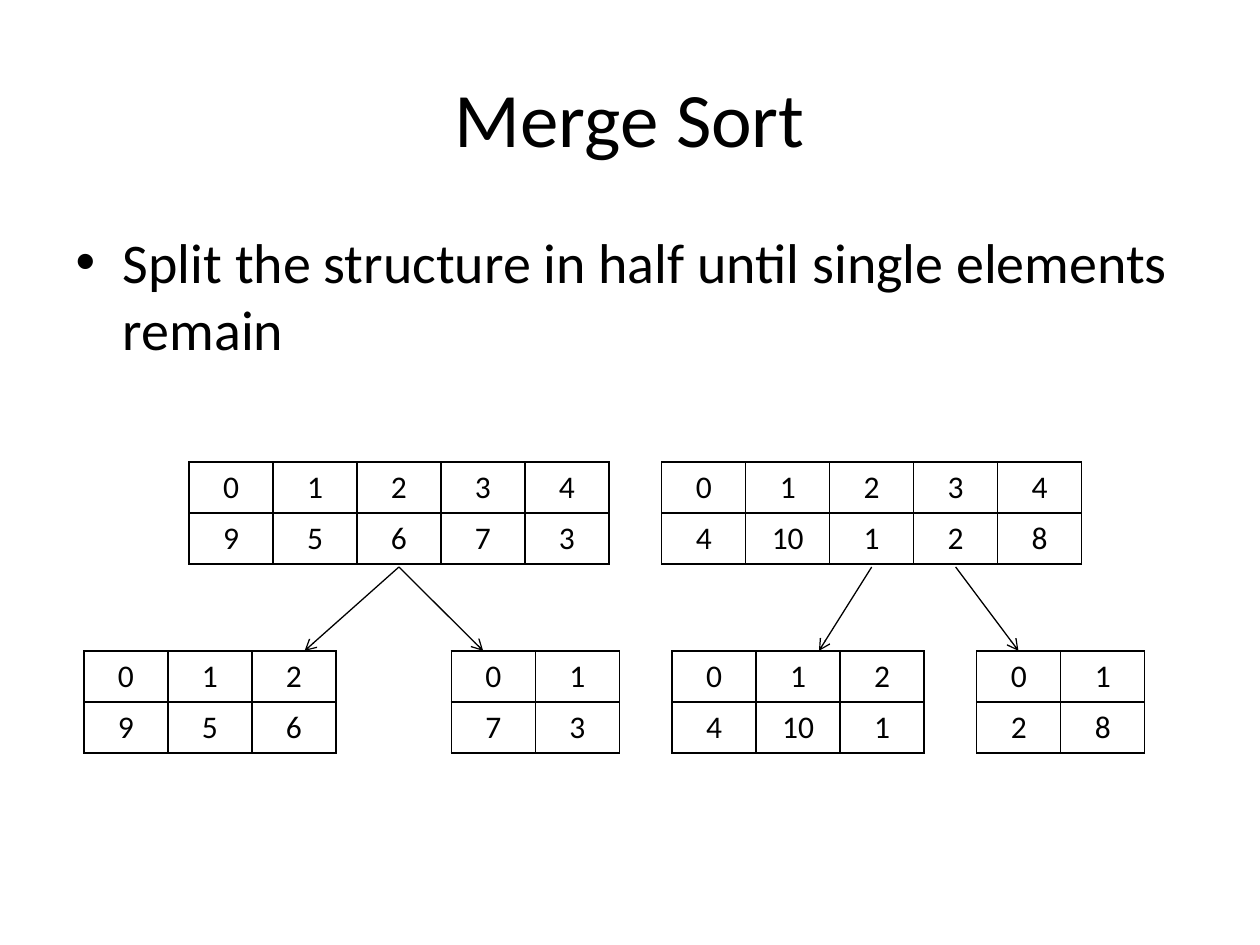
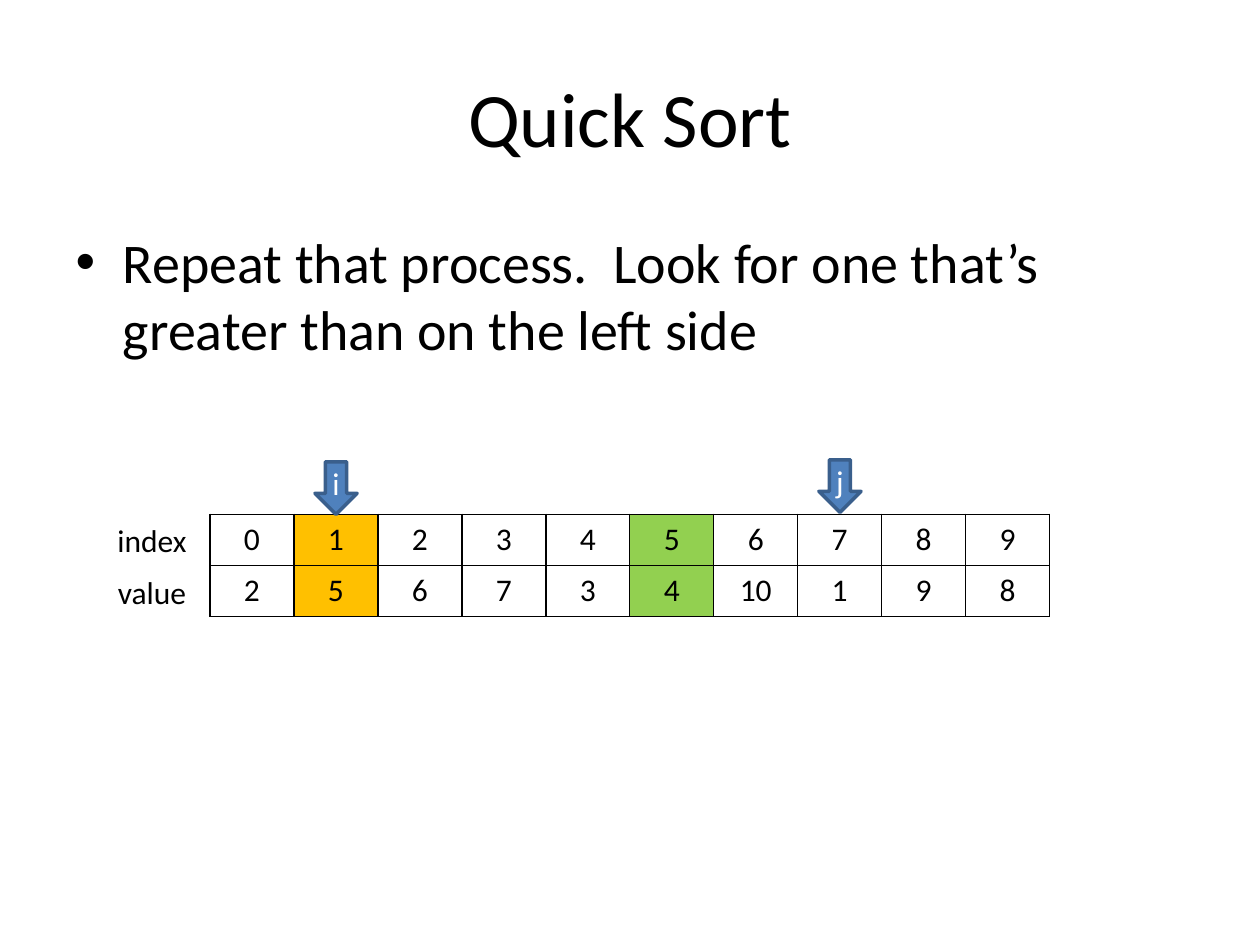
"""Build two slides on sorting: a merge sort split and a quick sort scan."""
from lxml import etree
from pptx import Presentation
from pptx.dml.color import RGBColor
from pptx.enum.shapes import MSO_CONNECTOR, MSO_SHAPE
from pptx.enum.text import MSO_ANCHOR, PP_ALIGN
from pptx.oxml.ns import qn
from pptx.util import Cm, Pt

BLACK = RGBColor(0x00, 0x00, 0x00)
WHITE = RGBColor(0xFF, 0xFF, 0xFF)
GOLD = RGBColor(0xFF, 0xC0, 0x00)
GREEN = RGBColor(0x92, 0xD0, 0x50)
BLUE = RGBColor(0x4F, 0x81, 0xBD)
NAVY = RGBColor(0x3A, 0x5F, 0x8C)

CENTER = PP_ALIGN.CENTER
LEFT = PP_ALIGN.LEFT
MIDDLE = MSO_ANCHOR.MIDDLE
DOWN = MSO_SHAPE.DOWN_ARROW
STRAIGHT = MSO_CONNECTOR.STRAIGHT

FONT = "Calibri"
COL = 1.693
ROW = 1.03
DROP = 3.81


def style(frame, text, size=18, color=BLACK, align=CENTER):
    """Write one paragraph of text into a frame and format it."""
    frame.text = text
    para = frame.paragraphs[0]
    para.alignment = align
    para.space_before = Pt(0)
    para.font.name = FONT
    para.font.size = Pt(size)
    para.font.color.rgb = color


def place(shape, left, top, width, height):
    """Move and size a shape in centimetres."""
    shape.left, shape.top = Cm(left), Cm(top)
    shape.width, shape.height = Cm(width), Cm(height)


def add_page(deck, title, point):
    """Add a slide with a centred title and one bullet."""
    slide = deck.slides.add_slide(deck.slide_layouts[1])
    head, body = slide.placeholders
    place(head, 1.27, 0.76, 22.86, 3.18)
    place(body, 1.27, 4.45, 22.86, 12.57)
    head.text_frame.vertical_anchor = MIDDLE
    style(head.text_frame, title, 44)
    style(body.text_frame, point, 32, align=LEFT)
    return slide


def add_edges(cell):
    """Draw a thin black line on each side of a cell."""
    props = cell._tc.get_or_add_tcPr()
    for side in ("lnL", "lnR", "lnT", "lnB"):
        line = etree.SubElement(props, qn(f"a:{side}"), w=str(Pt(1)))
        fill = etree.SubElement(line, qn("a:solidFill"))
        etree.SubElement(fill, qn("a:srgbClr"), val=str(BLACK))


def add_array(slide, left, top, values, marks=None):
    """Add a table of indexes over values, with marked columns filled."""
    marks = marks or {}
    count = len(values)
    table = slide.shapes.add_table(
        2, count, Cm(left), Cm(top), Cm(COL * count), Cm(2 * ROW)).table
    table.first_row = table.horz_banding = False
    for row, items in zip(table.rows, (range(count), values)):
        row.height = Cm(ROW)
        for col, (cell, item) in enumerate(zip(row.cells, items)):
            style(cell.text_frame, str(item))
            add_edges(cell)
            cell.fill.solid()
            cell.fill.fore_color.rgb = marks.get(col, WHITE)
    for col in table.columns:
        col.width = Cm(COL)


def add_arrow(slide, start, end):
    """Add a thin line with an open head at its end."""
    link = slide.shapes.add_connector(STRAIGHT, *map(Cm, start + end))
    link.line.color.rgb = BLACK
    link.line.width = Pt(0.75)
    etree.SubElement(link.line._get_or_add_ln(), qn("a:tailEnd"), type="arrow")
    etree.SubElement(link._element.spPr, qn("a:effectLst"))


def add_split(slide, left, top, values, halves):
    """Add an array with its two halves below, each at (shift, part, col, tip)."""
    add_array(slide, left, top, values)
    for shift, part, col, tip in halves:
        add_array(slide, left + shift, top + DROP, part)
        add_arrow(slide, (left + (col + 0.5) * COL, top + 2.12),
                  (left + tip, top + DROP))


def add_label(slide, left, top, text):
    """Add a row label beside an array."""
    box = slide.shapes.add_textbox(Cm(left), Cm(top), Cm(2.33), Cm(1.06))
    box.text_frame.word_wrap = True
    style(box.text_frame, text)


def add_mark(slide, left, top, name):
    """Add a named block arrow that points down, centred on left."""
    mark = slide.shapes.add_shape(
        DOWN, Cm(left - 0.42), Cm(top), Cm(0.85), Cm(1.06))
    mark.shadow.inherit = False
    mark.fill.solid()
    mark.fill.fore_color.rgb = BLUE
    mark.line.color.rgb = NAVY
    mark.line.width = Pt(2)
    frame = mark.text_frame
    frame.margin_left = frame.margin_right = 0
    frame.vertical_anchor = MIDDLE
    style(frame, name, color=WHITE)


def add_scan(slide, left, top, values, marks, hands):
    """Add a labelled array with block arrows above the columns in hands."""
    add_array(slide, left, top, values, marks)
    for row, text in enumerate(("index", "value")):
        add_label(slide, left - 2.33, top + row * 1.06, text)
    for name, col, rise in hands:
        add_mark(slide, left + (col + 0.5) * COL, top - rise, name)


def main():
    """Build both slides and save the deck."""
    deck = Presentation()
    deck.slide_width, deck.slide_height = Cm(25.4), Cm(19.05)

    merge = add_page(deck, "Merge Sort",
                     "Split the structure in half until single elements remain")
    add_split(merge, 3.81, 9.31, (9, 5, 6, 7, 3),
              ((-2.12, (9, 5, 6), 2, 2.33), (5.29, (7, 3), 2, 5.93)))
    add_split(merge, 13.34, 9.31, (4, 10, 1, 2, 8),
              ((0.21, (4, 10, 1), 2, 3.17), (6.35, (2, 8), 3, 7.19)))

    quick = add_page(deck, "Quick Sort",
                     "Repeat that process.  Look for one that’s "
                     "greater than on the left side")
    add_scan(quick, 4.23, 10.37, (2, 5, 6, 7, 3, 4, 10, 1, 9, 8),
             {1: GOLD, 5: GREEN}, (("i", 1, 1.06), ("j", 7, 1.1)))

    deck.save("out.pptx")


if __name__ == "__main__":
    main()
